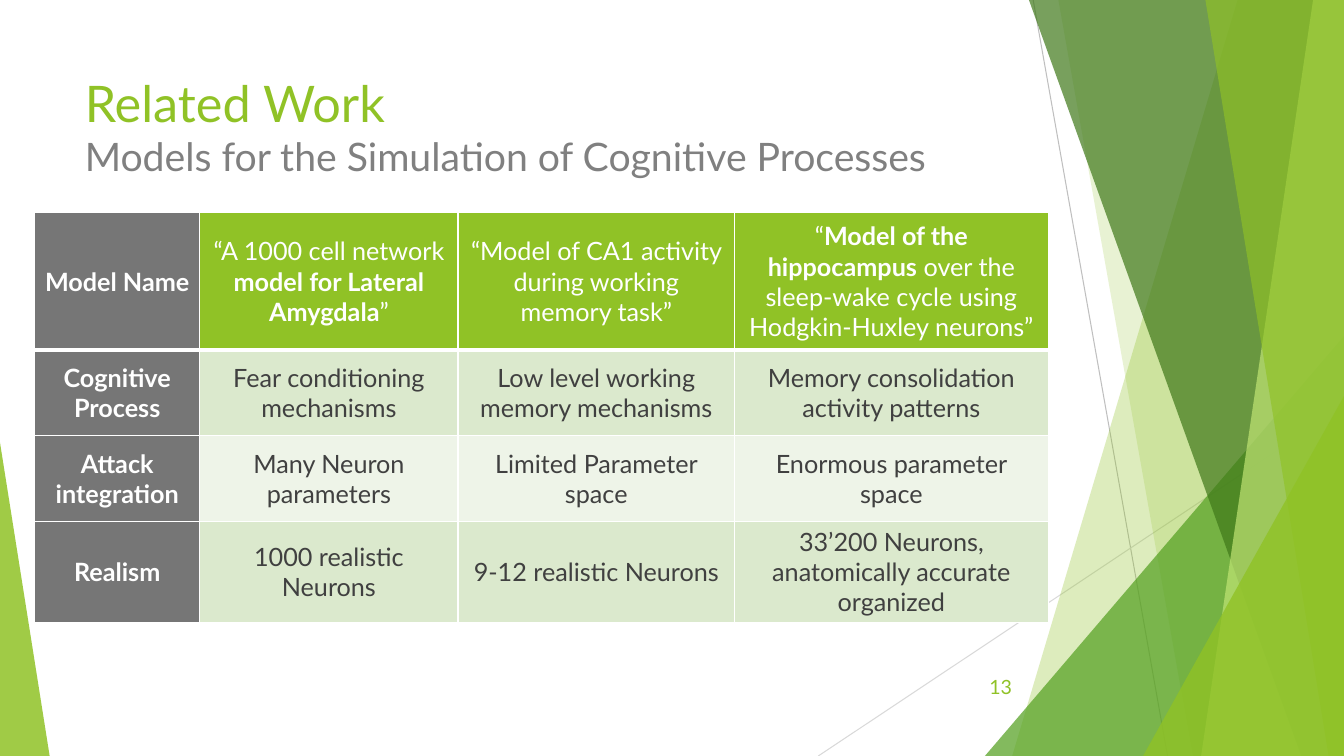
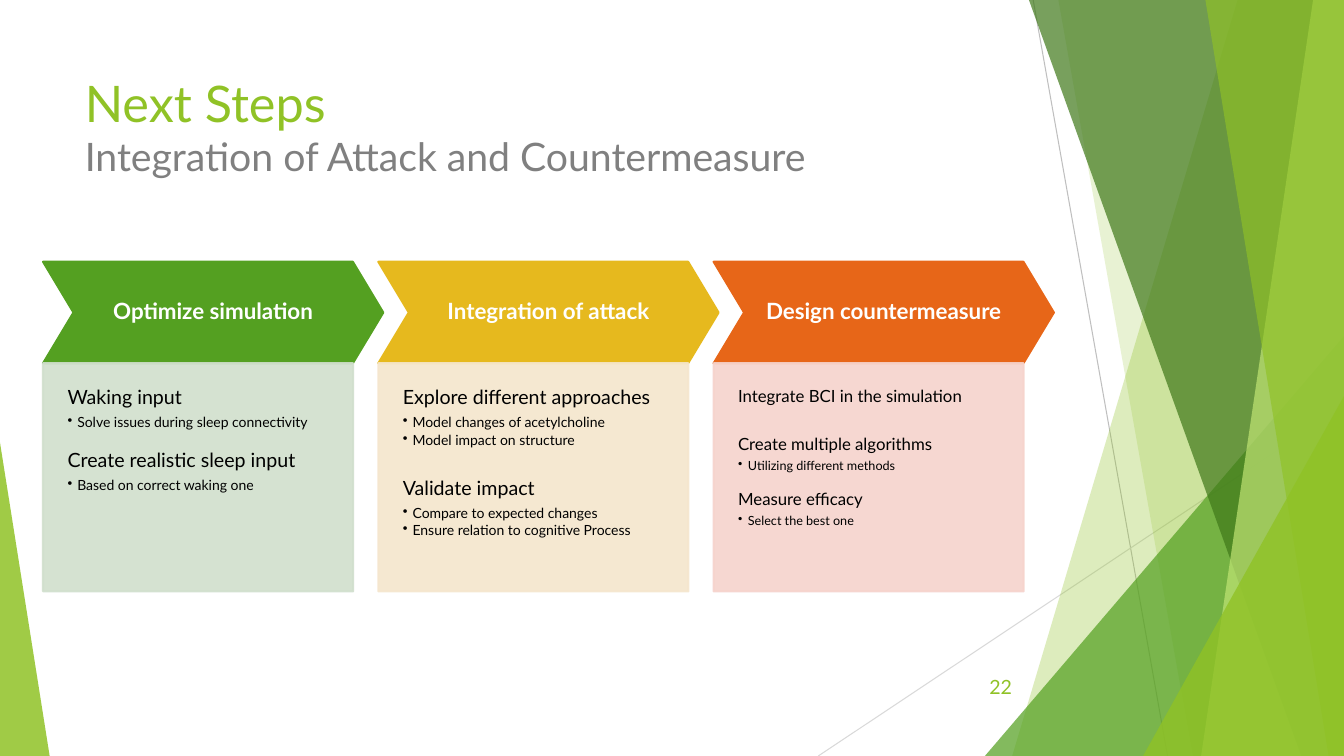
from pptx import Presentation
from pptx.dml.color import RGBColor
from pptx.enum.shapes import MSO_CONNECTOR, MSO_SHAPE
from pptx.enum.text import MSO_ANCHOR, PP_ALIGN
from pptx.oxml import parse_xml
from pptx.oxml.ns import nsdecls, qn
from pptx.util import Pt

WIDTH, HEIGHT = 960, 540
FONT = "Lato"
LIME, GREEN, DARK_GREEN, PALE_LIME = "90C226", "54A021", "3F7819", "C0E474"
WHITE, BLACK, TEXT, GREY, LABEL_FILL = "FFFFFF", "000000", "404040", "808080", "767676"
ROW_FILLS = ["DBE9CD", "EEF4E8"]

LINES = [(738, 0, 834, HEIGHT, "BFBFBF"), (WIDTH, 290, 584.5, HEIGHT, "D9D9D9")]
# Either a band (top left x, bottom left x) or a triangle (box, apex), from back to front
FACETS = [
    ("band", (884, 723), LIME, 30),
    ("band", (756, 852), LIME, 20),
    ("triangle", ((703.5, 240, 256.5, 300), 1), GREEN, 72),
    ("band", (735, 929.5), DARK_GREEN, 70),
    ("band", (938, 858), PALE_LIME, 70),
    ("band", (861, 949), LIME, 65),
    ("triangle", ((816.5, 283, 143.5, 257), 1), LIME, 80),
    ("triangle", ((0, 316, 35.5, 224), 0), LIME, 85),
]

# Text between asterisks is bold
MODELS = [
    ["*Model Name*", "“A 1000 cell network *model for Lateral Amygdala*”",
     "“Model of CA1 activity during working memory task”",
     "“*Model of the hippocampus* over the sleep-wake cycle using Hodgkin-Huxley neurons”"],
    ["*Cognitive Process*", "Fear conditioning mechanisms",
     "Low level working memory mechanisms", "Memory consolidation activity patterns"],
    ["*Attack integration*", "Many Neuron parameters",
     "Limited Parameter space", "Enormous parameter space"],
    ["*Realism*", "1000 realistic Neurons", "9-12 realistic Neurons",
     "33’200 Neurons, anatomically accurate organized"],
]
COLUMN_WIDTHS = [118, 184.5, 197.5, 224]
ROW_HEIGHTS = [98, 61.25, 61.25, 72]

# Each topic: space before, heading, bullets
STEPS = [
    {"title": "Optimize simulation", "color": GREEN, "tint": "D1DFCD", "sizes": (14, 10),
     "topics": [(0, "Waking input", ["Solve issues during sleep connectivity"]),
                (12.3, "Create realistic sleep input", ["Based on correct waking one"])]},
    {"title": "Integration of attack", "color": "E6B91E", "tint": "F5E6CD", "sizes": (14, 10),
     "topics": [(0, "Explore different approaches",
                 ["Model changes of acetylcholine", "Model impact on structure"]),
                (20, "Validate impact",
                 ["Compare to expected changes",
                  "Ensure relation to cognitive Process"])]},
    {"title": "Design countermeasure", "color": "E76618", "tint": "F6D3CC", "sizes": (12, 9),
     "topics": [(0, "Integrate BCI in the simulation", []),
                (17.2, "Create multiple algorithms", ["Utilizing different methods"]),
                (11, "Measure efficacy", ["Select the best one"])]},
]


def rgb(value):
    return RGBColor.from_string(value)


def pts(values):
    return [Pt(v) for v in values]


def set_all(target, values):
    for name, value in values.items():
        setattr(target, name, value)


def add_run(p, text, size, color, bold=False):
    r = p.add_run()
    r.text = text
    set_all(r.font, {"name": FONT, "size": Pt(size), "bold": bold})
    r.font.color.rgb = rgb(color)


def paint(sp, fill, alpha=100, line=None):
    """Set a flat fill and optional outline, both at alpha percent."""
    sp.shadow.inherit = False
    sp.fill.solid()
    sp.fill.fore_color.rgb = rgb(fill)
    if line:
        sp.line.color.rgb = rgb(line)
        sp.line.width = Pt(1.5)
    else:
        sp.line.fill.background()
    if alpha < 100:
        for color in sp._element.spPr.iter(qn("a:srgbClr")):
            color.append(parse_xml(f'<a:alpha {nsdecls("a")} val="{alpha * 1000}"/>'))


def add_text_box(s, box):
    tf = s.shapes.add_textbox(*pts(box)).text_frame
    tf.word_wrap = True
    return tf


def add_backdrop(s):
    for x1, y1, x2, y2, color in LINES:
        line = s.shapes.add_connector(MSO_CONNECTOR.STRAIGHT, *pts((x1, y1, x2, y2)))
        line.line.color.rgb = rgb(color)
        line.line.width = Pt(0.75)
        line._element.spPr.append(parse_xml(f'<a:effectLst {nsdecls("a")}/>'))
    for kind, geometry, color, alpha in FACETS:
        if kind == "band":
            top, bottom = geometry
            outline = s.shapes.build_freeform(Pt(top), 0)
            corners = [(WIDTH, 0), (WIDTH, HEIGHT), (bottom, HEIGHT)]
            outline.add_line_segments([pts(c) for c in corners], close=True)
            sp = outline.convert_to_shape()
        else:
            box, apex = geometry
            sp = s.shapes.add_shape(MSO_SHAPE.ISOSCELES_TRIANGLE, *pts(box))
            sp.adjustments[0] = apex
        paint(sp, color, alpha)


def add_base_slide(prs, title, subtitle, number):
    """Add a slide with backdrop, two-line title and page number."""
    s = prs.slides.add_slide(prs.slide_layouts[6])
    add_backdrop(s)
    p = add_text_box(s, (53.5, 48, 677, 104)).paragraphs[0]
    add_run(p, title, 36, LIME)
    p.add_line_break()
    add_run(p, subtitle, 28, GREY)
    tf = add_text_box(s, (676, 476, 54, 28.75))
    tf.vertical_anchor = MSO_ANCHOR.MIDDLE
    tf.paragraphs[0].alignment = PP_ALIGN.RIGHT
    add_run(tf.paragraphs[0], number, 14, LIME)
    return s


def set_borders(cell, **widths):
    for side, width in widths.items():
        cell._tc.get_or_add_tcPr().append(parse_xml(
            f'<a:ln{side} {nsdecls("a")} w="{Pt(width)}"><a:solidFill>'
            f'<a:srgbClr val="{WHITE}"/></a:solidFill></a:ln{side}>'))


def add_model_table(s, left, top):
    box = (left, top, sum(COLUMN_WIDTHS), sum(ROW_HEIGHTS))
    table = s.shapes.add_table(len(MODELS), len(COLUMN_WIDTHS), *pts(box)).table
    set_all(table, {"first_row": False, "horz_banding": False})
    for column, width in zip(table.columns, COLUMN_WIDTHS):
        column.width = Pt(width)
    for i, (row, height, texts) in enumerate(zip(table.rows, ROW_HEIGHTS, MODELS)):
        row.height = Pt(height)
        for j, (cell, text) in enumerate(zip(row.cells, texts)):
            set_borders(cell, L=1, R=1, T=3 if i == 1 else 1, B=3 if i == 0 else 1)
            fill = LABEL_FILL if j == 0 else LIME if i == 0 else ROW_FILLS[(i - 1) % 2]
            cell.fill.solid()
            cell.fill.fore_color.rgb = rgb(fill)
            cell.vertical_anchor = MSO_ANCHOR.MIDDLE
            p = cell.text_frame.paragraphs[0]
            p.alignment = PP_ALIGN.CENTER
            for k, part in enumerate(text.split("*")):
                if part:
                    add_run(p, part, 18, TEXT if i and j else WHITE, bold=k % 2 == 1)


def add_bullet(p, indent):
    pPr = p._p.get_or_add_pPr()
    pPr.set("marL", str(Pt(indent)))
    pPr.set("indent", str(-Pt(indent)))
    pPr.append(parse_xml(f'<a:buChar {nsdecls("a")} char="•"/>'))


def fill_topics(tf, topics, sizes):
    """Write headings and their bullets; sizes are (heading, bullet)."""
    rows = []
    for gap, heading, bullets in topics:
        rows.append((heading, sizes[0], 0.35, gap, False))
        rows += [(text, sizes[1], 0.15, 0, True) for text in bullets]
    for i, (text, size, after, before, bulleted) in enumerate(rows):
        p = tf.add_paragraph() if i else tf.paragraphs[0]
        if bulleted:
            add_bullet(p, 7)
        set_all(p, {"alignment": PP_ALIGN.LEFT, "line_spacing": 0.9,
                    "space_after": Pt(round(size * after, 1))})
        if before:
            p.space_before = Pt(before)
        add_run(p, text, size, BLACK)


def add_step(s, step, left, top, width, head_height, body_height, point):
    """Chevron heading, wider by its point, above a tinted panel of topics."""
    head = s.shapes.add_shape(MSO_SHAPE.CHEVRON, *pts((left, top, width + point, head_height)))
    head.adjustments[0] = 0.3
    paint(head, step["color"], line=step["color"])
    tf = head.text_frame
    set_all(tf, {"margin_left": 0, "margin_right": 0, "word_wrap": True,
                 "vertical_anchor": MSO_ANCHOR.MIDDLE})
    p = tf.paragraphs[0]
    set_all(p, {"alignment": PP_ALIGN.CENTER, "line_spacing": 0.9, "space_after": Pt(5.6)})
    add_run(p, step["title"], 16, WHITE, bold=True)

    box = (left, top + head_height, width, body_height)
    panel = s.shapes.add_shape(MSO_SHAPE.RECTANGLE, *pts(box))
    paint(panel, step["tint"], 90, step["tint"])
    tf = panel.text_frame
    set_all(tf, {"margin_left": Pt(17.5), "margin_right": Pt(17.5), "margin_top": Pt(17.5),
                 "word_wrap": True, "vertical_anchor": MSO_ANCHOR.TOP})
    fill_topics(tf, step["topics"], step["sizes"])


def add_steps(s, left, top, pitch):
    for i, step in enumerate(STEPS):
        add_step(s, step, left + i * pitch, top, 221.5, 72.5, 163, 21.5)


def main():
    prs = Presentation()
    set_all(prs, {"slide_width": Pt(WIDTH), "slide_height": Pt(HEIGHT)})
    s = add_base_slide(prs, "Related Work",
                       "Models for the Simulation of Cognitive Processes", "13")
    add_model_table(s, 24.75, 152)
    s = add_base_slide(prs, "Next Steps",
                       "Integration of Attack and Countermeasure", "22")
    add_steps(s, 30.75, 187, 239.5)
    prs.save("out.pptx")


if __name__ == "__main__":
    main()
